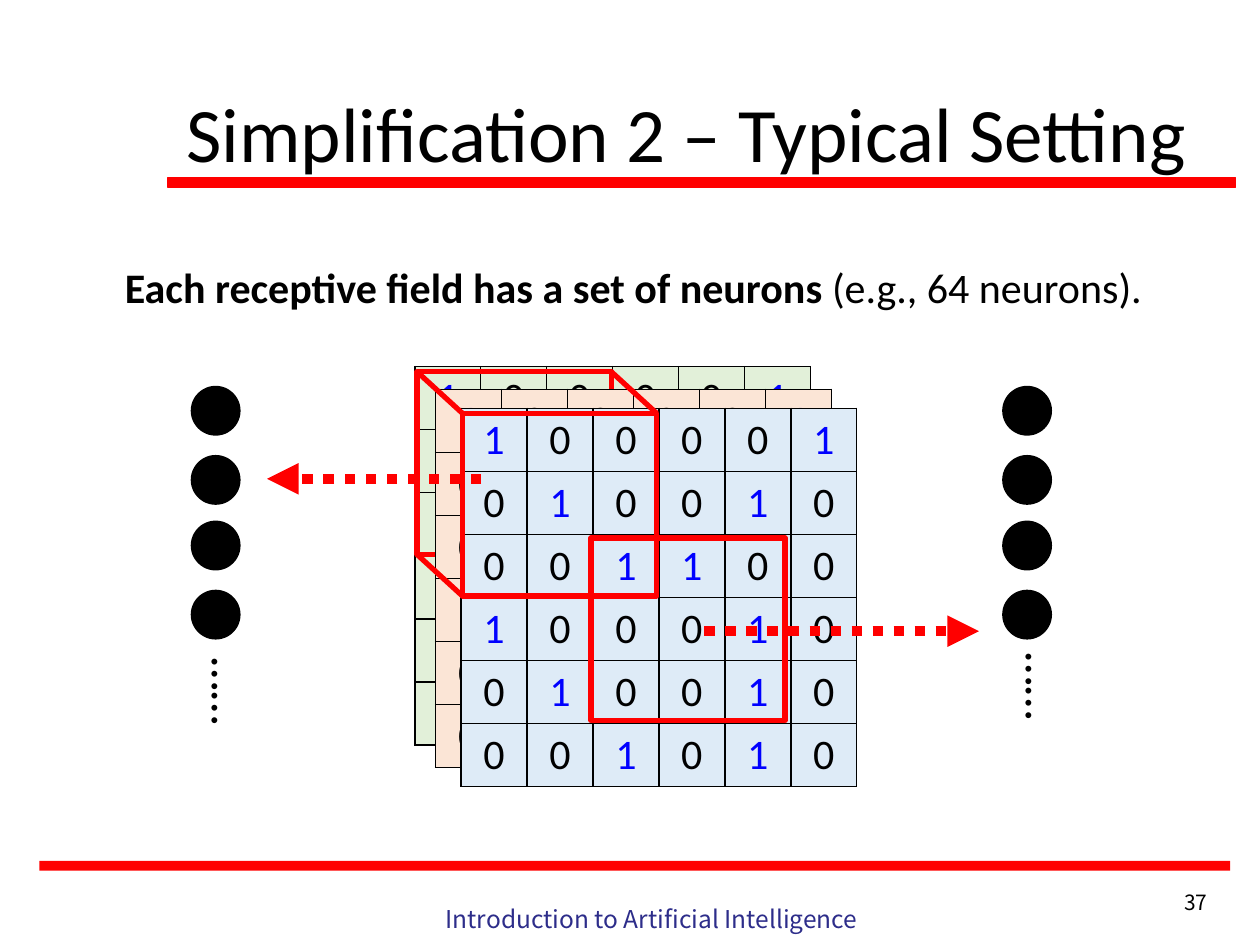
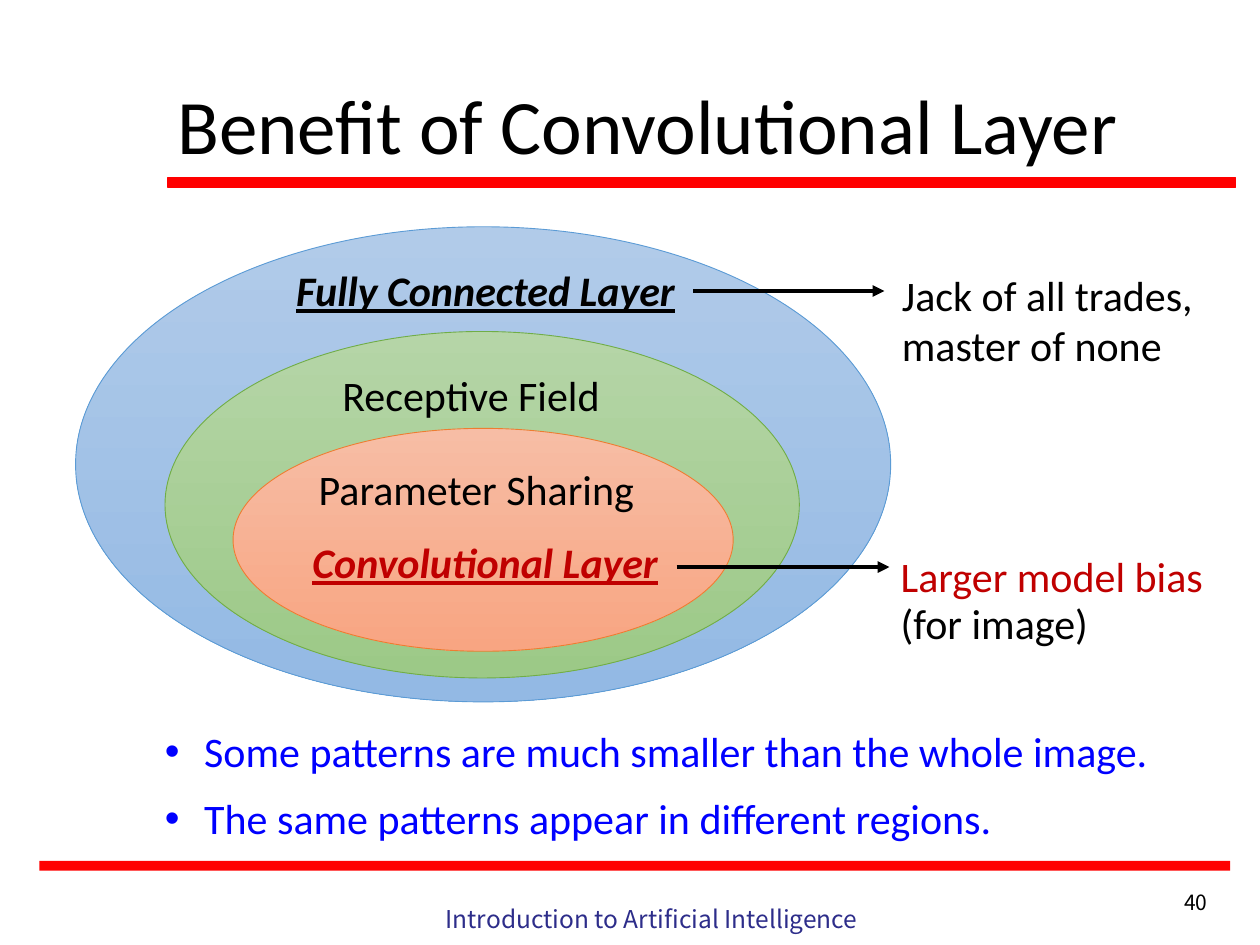
import pptx
import pptx.dml.color
import pptx.enum.dml
import pptx.enum.shapes
import pptx.enum.text
import pptx.oxml
import pptx.oxml.ns
import pptx.util

Pt = pptx.util.Pt
Shape = pptx.enum.shapes.MSO_SHAPE
Align = pptx.enum.text.PP_ALIGN

RED, DARK_RED, BLUE = "FF0000", "C00000", "0000FF"
BLACK, NAVY = "000000", "2D2D8A"
BODY = {"name": "Calibri", "size": Pt(24)}
TITLE = {**BODY, "size": Pt(44)}
DOTS = {**BODY, "size": Pt(28)}
FOOTER = {"name": "Noto Sans CJK SC", "size": Pt(14)}
PAGE_NUMBER = {**FOOTER, "size": Pt(12)}
BOLD = {**BODY, "bold": True}
LAYER_NAME = {**BOLD, "italic": True, "underline": True}

IMAGE_ROWS = ["100001", "010010", "001100", "100010", "010010", "001010"]
CELL_WIDTH, CELL_HEIGHT = 37.7, 36
FIELD_WIDTH, FIELD_HEIGHT = 111, 104.4
CHANNELS = [("E2F0D9", 237, 209.5), ("FBE5D6", 249, 222.5), ("DEEBF7", 263.5, 233.3)]


def color(hex_string):
    return pptx.dml.color.RGBColor.from_string(hex_string)


def add_xml(parent, tag, content="", attributes=""):
    namespace = pptx.oxml.ns.nsdecls("a")
    element = pptx.oxml.parse_xml(f"<a:{tag} {namespace} {attributes}>{content}</a:{tag}>")
    parent.append(element)


class SlideBuilder:
    """Holds the deck and the slide that is being filled."""

    def __init__(self):
        self.deck = pptx.Presentation()
        self.deck.slide_width, self.deck.slide_height = Pt(720), Pt(540)
        self.page = None

    def start(self, title, number, title_left, title_top):
        """Add a slide with its bands, footer, page number and title."""
        self.page = self.deck.slides.add_slide(self.deck.slide_layouts[6])
        self.shape(Shape.RECTANGLE, 22.5, 492, 680.5, 5.5, fill=RED)
        self.shape(Shape.RECTANGLE, 96, 101.5, 610, 5.5, fill=RED, line=RED, width=0.75)
        self.text("Introduction to Artificial Intelligence", 219, 513, 307, 37,
                  FOOTER, NAVY, Align.CENTER)
        self.text(number, 618, 504.5, 79, 18, PAGE_NUMBER, align=Align.RIGHT)
        box = self.text(title, title_left, title_top, 620.6, 104.4, TITLE)
        box.text_frame.vertical_anchor = pptx.enum.text.MSO_ANCHOR.MIDDLE
        box.text_frame.paragraphs[0].line_spacing = 0.9

    def run(self, para, words, style, ink):
        span = para.add_run()
        span.text = words
        for name, value in style.items():
            setattr(span.font, name, value)
        span.font.color.rgb = color(ink)

    def text(self, words, left, top, width, height=36, style=BODY, ink=BLACK,
             align=Align.LEFT):
        """Add a text box with one paragraph for each line of words."""
        box = self.page.shapes.add_textbox(Pt(left), Pt(top), Pt(width), Pt(height))
        frame = box.text_frame
        frame.word_wrap = True
        for index, line in enumerate(words.split("\n")):
            para = frame.add_paragraph() if index else frame.paragraphs[0]
            para.alignment = align
            self.run(para, line, style, ink)
        return box

    def bullet(self, words, left, top, width):
        box = self.text(words, left, top, width, ink=BLUE)
        properties = box.text_frame.paragraphs[0]._p.get_or_add_pPr()
        properties.set("marL", str(Pt(22.5)))
        properties.set("indent", str(Pt(-22.5)))
        add_xml(properties, "buFont", attributes='typeface="Arial"')
        add_xml(properties, "buChar", attributes='char="•"')

    def shape(self, kind, left, top, width_of, height, fill=None, line=None, width=1):
        """Add a shape; fill is None, one colour, or a (top, bottom) gradient pair."""
        shape = self.page.shapes.add_shape(kind, Pt(left), Pt(top), Pt(width_of), Pt(height))
        shape.shadow.inherit = False
        if fill is None:
            shape.fill.background()
        elif isinstance(fill, tuple):
            shape.fill.gradient()
            shape.fill.gradient_angle = 270
            for stop, shade in zip(shape.fill.gradient_stops, fill):
                stop.color.rgb = color(shade)
        else:
            shape.fill.solid()
            shape.fill.fore_color.rgb = color(fill)
        if line is None:
            shape.line.fill.background()
        else:
            shape.line.color.rgb = color(line)
            shape.line.width = Pt(width)

    def line(self, start, end, ink=RED, width=3, arrow=False, dotted=False):
        points = [Pt(value) for value in (*start, *end)]
        line = self.page.shapes.add_connector(
            pptx.enum.shapes.MSO_CONNECTOR.STRAIGHT, *points)
        line.line.color.rgb = color(ink)
        line.line.width = Pt(width)
        if dotted:
            line.line.dash_style = pptx.enum.dml.MSO_LINE.ROUND_DOT
        if arrow:
            add_xml(line.line._get_or_add_ln(), "tailEnd", attributes='type="triangle"')
        add_xml(line._element.spPr, "effectLst")

    def pixel_table(self, rows, left, top, fill):
        """Add a grid of 0 and 1 with the ones in blue."""
        count = len(rows)
        frame = self.page.shapes.add_table(
            count, count, Pt(left), Pt(top), Pt(count * CELL_WIDTH), Pt(count * CELL_HEIGHT))
        table = frame.table
        table.first_row = table.horz_banding = False
        for column in table.columns:
            column.width = Pt(CELL_WIDTH)
        border = f'<a:solidFill><a:srgbClr val="{BLACK}"/></a:solidFill>'
        for row_index, row in enumerate(rows):
            table.rows[row_index].height = Pt(CELL_HEIGHT)
            for column_index, digit in enumerate(row):
                cell = table.cell(row_index, column_index)
                for side in "LRTB":
                    add_xml(cell._tc.get_or_add_tcPr(), f"ln{side}", border, f'w="{Pt(1)}"')
                cell.fill.solid()
                cell.fill.fore_color.rgb = color(fill)
                para = cell.text_frame.paragraphs[0]
                para.alignment = Align.CENTER
                self.run(para, digit, BODY, BLUE if digit == "1" else BLACK)

    def receptive_field(self, left, top):
        self.shape(Shape.RECTANGLE, left, top, FIELD_WIDTH, FIELD_HEIGHT, line=RED, width=3)

    def neurons(self, left, dots_left, dots_top):
        for top in (221, 260.5, 298, 337.5):
            self.shape(Shape.OVAL, left, top, 27.5, 27.5, fill=BLACK, line=BLACK)
        dots = self.text("……", dots_left, dots_top, 91.5, 41, DOTS)
        dots.rotation = 90


def typical_setting(builder):
    builder.start("Simplification 2 – Typical Setting", "37", 99.4, 26.6)
    back_field, front_field = (238.3, 212.4), (264.3, 236.2)
    for index, (fill, left, top) in enumerate(CHANNELS):
        builder.pixel_table(IMAGE_ROWS, left, top, fill)
        if index == 0:
            builder.receptive_field(*back_field)
    builder.receptive_field(*front_field)
    for across, down in ((0, 0), (FIELD_WIDTH, 0), (0, FIELD_HEIGHT)):
        builder.line(*[(left + across, top + down) for left, top in (back_field, front_field)])
    sentence = builder.text("Each receptive field has a set of neurons ", 56, 146, 612,
                            style=BOLD, align=Align.CENTER)
    builder.run(sentence.text_frame.paragraphs[0], "(e.g., 64 neurons).", BODY, BLACK)
    builder.receptive_field(337.7, 307.4)
    builder.neurons(109.5, 86.4, 393.8)
    builder.neurons(573.2, 551.5, 391)
    for start, end in (((275, 273.6), (152.6, 273.6)), ((402.5, 360.7), (559.4, 360.7))):
        builder.line(start, end, width=6, arrow=True, dotted=True)


def convolution_benefit(builder):
    builder.start("Benefit of Convolutional Layer", "40", 94.3, 21.6)
    layers = [
        (43.2, 129.6, 465.8, 271.5, ("B1CBE9", "93B9E4"), "5B9BD5"),
        (94.3, 189.4, 362.5, 198, ("B5D5A7", "9CC987"), "70AD47"),
        (133.2, 244.8, 285.8, 127.4, ("F7BDA5", "F8A582"), "ED7D31"),
    ]
    for layer in layers:
        builder.shape(Shape.OVAL, *layer, width=0.5)
    builder.text("Fully Connected Layer", 134.6, 147.6, 285.8,
                 style=LAYER_NAME, align=Align.CENTER)
    builder.text("Receptive Field", 188.6, 207.4, 184.3)
    builder.text("Parameter Sharing", 175, 261.4, 212.4)
    builder.text("Convolutional Layer", 171.4, 303.1, 220, style=LAYER_NAME, ink=DARK_RED)
    for start, end in (((386.6, 324), (508.3, 324)), ((396, 166.3), (505.4, 166.3))):
        builder.line(start, end, BLACK, 2.25, arrow=True)
    builder.text("Jack of all trades,\nmaster of none", 508.3, 150.5, 206.6, 65.5)
    builder.text("Larger model bias", 507.6, 311, 206.6, ink=DARK_RED)
    builder.text("(for image)", 507.6, 337.7, 155.5)
    builder.bullet("Some patterns are much smaller than the whole image.", 87.1, 411.1, 596)
    builder.bullet("The same patterns appear in different regions.", 87.1, 449.3, 551.5)


def main():
    builder = SlideBuilder()
    typical_setting(builder)
    convolution_benefit(builder)
    builder.deck.save("out.pptx")


if __name__ == "__main__":
    main()
